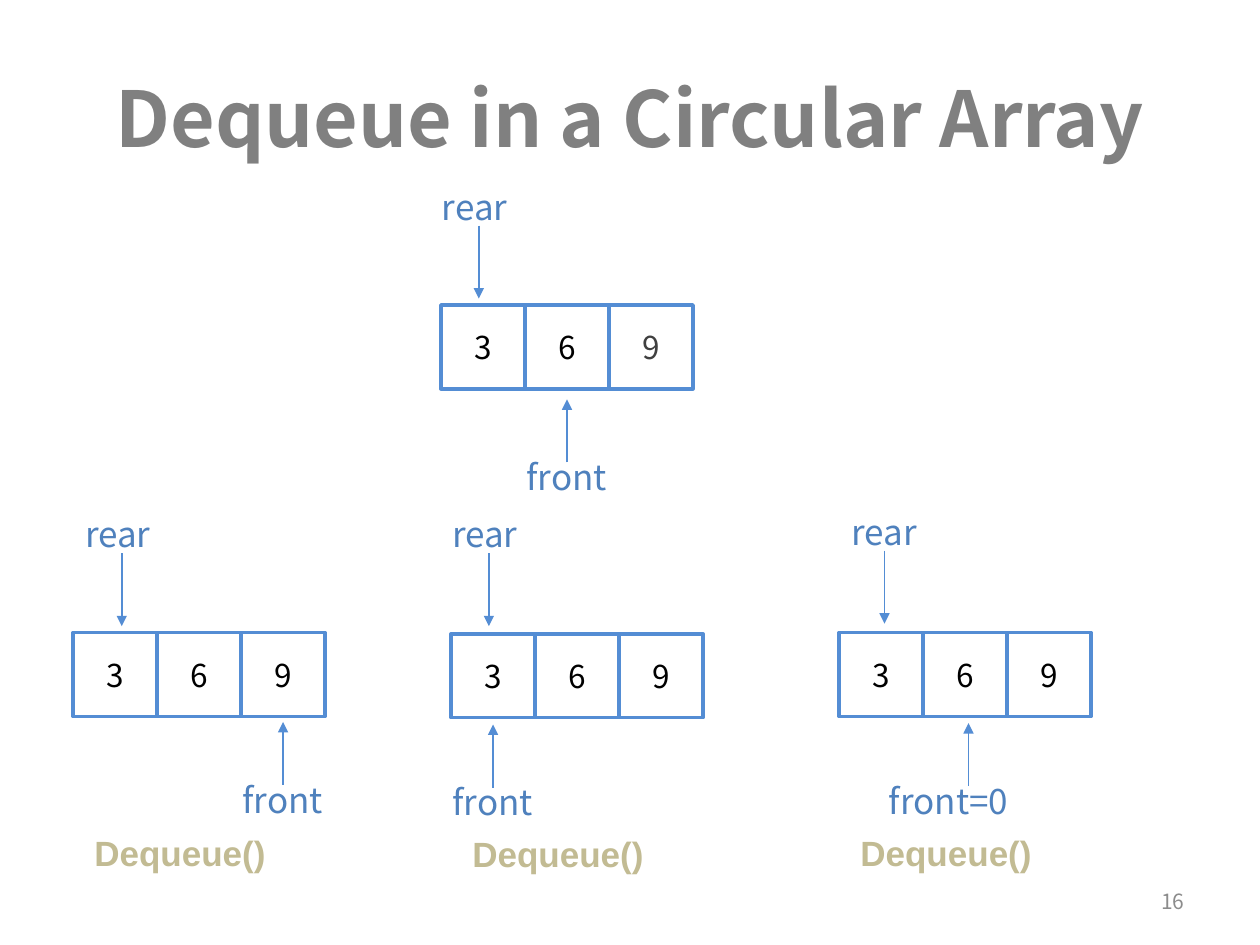
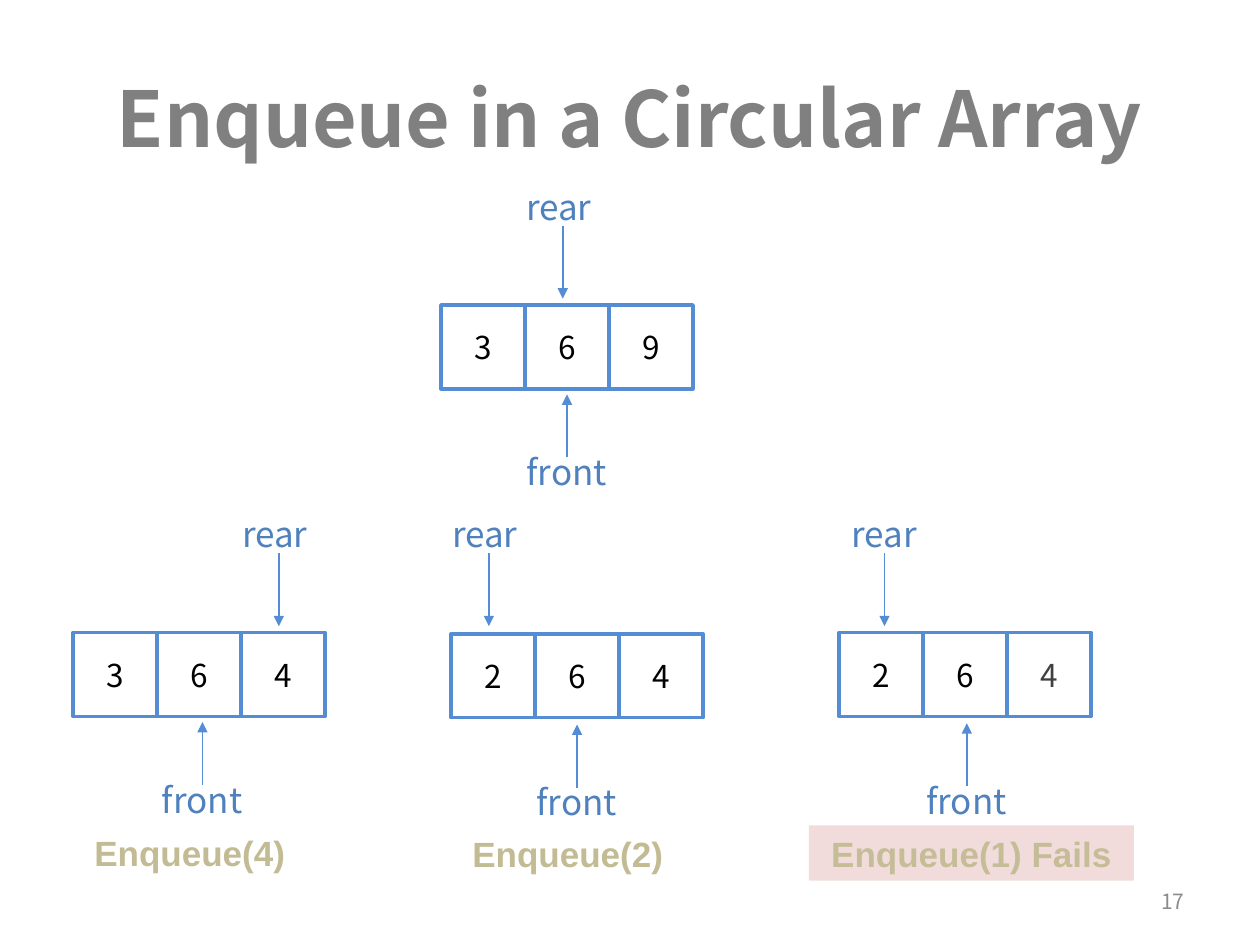
from dataclasses import dataclass

from lxml.etree import SubElement
from pptx import Presentation
from pptx.dml.color import RGBColor
from pptx.enum.shapes import MSO_CONNECTOR, MSO_SHAPE
from pptx.enum.text import MSO_ANCHOR, MSO_AUTO_SIZE, PP_ALIGN
from pptx.oxml.ns import qn
from pptx.util import Inches, Pt

WIDTH, HEIGHT = 10, 7.5
CELL = 2 / 3
LABEL_HEIGHT = 0.43
BODY_FONT, CODE_FONT = "Noto Sans CJK SC", "Arial"
WHITE, BLACK, MUTED = "FFFFFF", "000000", "404040"
TITLE_GRAY, NUMBER_GRAY = "808080", "8C8C8C"
OUTLINE, LABEL_BLUE = "548DD4", "4F81BD"
CAPTION_TAN, FAIL_TAN, FAIL_PINK = "C2BB93", "C4BD97", "F2DCDB"


@dataclass
class ArrayState:
    """A three-cell queue; rear and front are arrow positions in cells."""

    left: float
    top: float
    values: str
    rear: float
    front: float
    operation: str = ""
    fails: bool = False
    last_muted: bool = False
    front_text: str = "front"
    front_lead: float = 0.42
    front_drop: float = 1.12
    rear_lead: float = 0.39
    rear_rise: float = 1.0


def color(value):
    """Turn a hex string into a colour."""
    return RGBColor.from_string(value)


def box(left, top, width, height):
    """Convert a rectangle in inches to slide lengths."""
    return [Inches(length) for length in (left, top, width, height)]


def write_text(shape, text, size=20, font=BODY_FONT, fill=LABEL_BLUE, bold=False,
               align=PP_ALIGN.LEFT, wrap=True):
    """Write one formatted, vertically centred paragraph into a shape."""
    frame = shape.text_frame
    frame.auto_size = MSO_AUTO_SIZE.NONE
    frame.word_wrap = wrap
    frame.vertical_anchor = MSO_ANCHOR.MIDDLE
    paragraph = frame.paragraphs[0]
    paragraph.alignment = align
    run = paragraph.add_run()
    run.text = text
    run.font.size = Pt(size)
    run.font.name = font
    run.font.bold = bold
    run.font.color.rgb = color(fill)


def add_rectangle(slide, place, fill, outline=None):
    """Add a flat rectangle with an optional outline."""
    shape = slide.shapes.add_shape(MSO_SHAPE.RECTANGLE, *box(*place))
    shape.shadow.inherit = False
    shape.fill.solid()
    shape.fill.fore_color.rgb = color(fill)
    if outline:
        shape.line.color.rgb = color(outline)
        shape.line.width = Pt(2)
    else:
        shape.line.fill.background()
    return shape


def add_arrow(shapes, x, start, end):
    """Add a vertical arrow that points from start to end."""
    arrow = shapes.add_connector(MSO_CONNECTOR.STRAIGHT, Inches(x), Inches(start),
                                 Inches(x), Inches(end))
    arrow.line.color.rgb = color(OUTLINE)
    arrow.line.width = Pt(1)
    SubElement(arrow.line._get_or_add_ln(), qn("a:tailEnd"), type="triangle")
    SubElement(arrow._element.spPr, qn("a:effectLst"))


def add_pointer(slide, text, x, top, lead, start, end):
    """Group a label with its arrow; start and end are measured from the label top."""
    shapes = slide.shapes.add_group_shape().shapes
    label = shapes.add_textbox(*box(x - lead, top, 1.5, LABEL_HEIGHT))
    write_text(label, text)
    add_arrow(shapes, x, top + start, top + end)


def add_caption(slide, state):
    """Add the operation under its array, highlighted when it fails."""
    top = state.top + 1.53
    if state.fails:
        shape = add_rectangle(slide, (state.left - 0.24, top, 2.58, 0.44), FAIL_PINK)
        write_text(shape, state.operation, font=CODE_FONT, fill=FAIL_TAN, bold=True,
                   align=PP_ALIGN.CENTER)
    else:
        shape = slide.shapes.add_textbox(*box(state.left + 0.07, top, 1.93, LABEL_HEIGHT))
        write_text(shape, state.operation, font=CODE_FONT, fill=CAPTION_TAN, bold=True)


def add_array(slide, state):
    """Draw the cells, both pointers and the caption of one state."""
    for index, value in enumerate(state.values):
        place = (state.left + index * CELL, state.top, CELL, CELL)
        cell = add_rectangle(slide, place, WHITE, OUTLINE)
        is_muted = state.last_muted and index == len(state.values) - 1
        write_text(cell, value, size=18, fill=MUTED if is_muted else BLACK,
                   align=PP_ALIGN.CENTER, wrap=False)
    add_pointer(slide, state.front_text, state.left + state.front * CELL,
                state.top + state.front_drop, state.front_lead, 0.1, -0.4)
    add_pointer(slide, "rear", state.left + state.rear * CELL,
                state.top - state.rear_rise, state.rear_lead, 0.37, 0.95)
    if state.operation:
        add_caption(slide, state)


def add_queue_slide(presentation, title, number, states):
    """Add a titled, numbered slide that shows the given array states."""
    slide = presentation.slides.add_slide(presentation.slide_layouts[5])
    heading = slide.shapes.title
    heading.left, heading.top, heading.width, heading.height = box(
        0.05 * WIDTH, 0.04 * HEIGHT, 0.9 * WIDTH, HEIGHT / 6)
    write_text(heading, title, size=44, fill=TITLE_GRAY, bold=True, align=PP_ALIGN.CENTER)
    for state in states:
        add_array(slide, state)
    page = slide.shapes.add_textbox(*box(0.95 * WIDTH - 2.33, 6.95, 2.33, 0.4))
    write_text(page, str(number), size=12, fill=NUMBER_GRAY, align=PP_ALIGN.RIGHT)


def main():
    """Build both slides and save the presentation."""
    presentation = Presentation()
    presentation.slide_width, presentation.slide_height = Inches(WIDTH), Inches(HEIGHT)
    start, first, second, third = (3.5, 2.42), (0.58, 5.02), (3.58, 5.03), (6.66, 5.02)
    add_queue_slide(presentation, "Dequeue in a Circular Array", 16, [
        ArrayState(*first, "369", 0.58, 2.5, "Dequeue()", front_drop=1.11),
        ArrayState(*second, "369", 0.45, 0.5, "Dequeue()", rear_rise=1.01),
        ArrayState(*third, "369", 0.54, 1.54, "Dequeue()", front_text="front=0",
                   front_lead=0.73, rear_lead=0.36, rear_rise=1.02),
        ArrayState(*start, "369", 0.45, 1.5, last_muted=True, front_drop=1.15),
    ])
    add_queue_slide(presentation, "Enqueue in a Circular Array", 17, [
        ArrayState(*first, "364", 2.45, 1.54, "Enqueue(4)", front_drop=1.11),
        ArrayState(*second, "264", 0.45, 1.5, "Enqueue(2)", rear_rise=1.01),
        ArrayState(*third, "264", 0.54, 1.52, "Enqueue(1) Fails", fails=True,
                   last_muted=True, rear_lead=0.36),
        ArrayState(*start, "369", 1.45, 1.5, front_drop=1.11),
    ])
    presentation.save("out.pptx")


if __name__ == "__main__":
    main()
